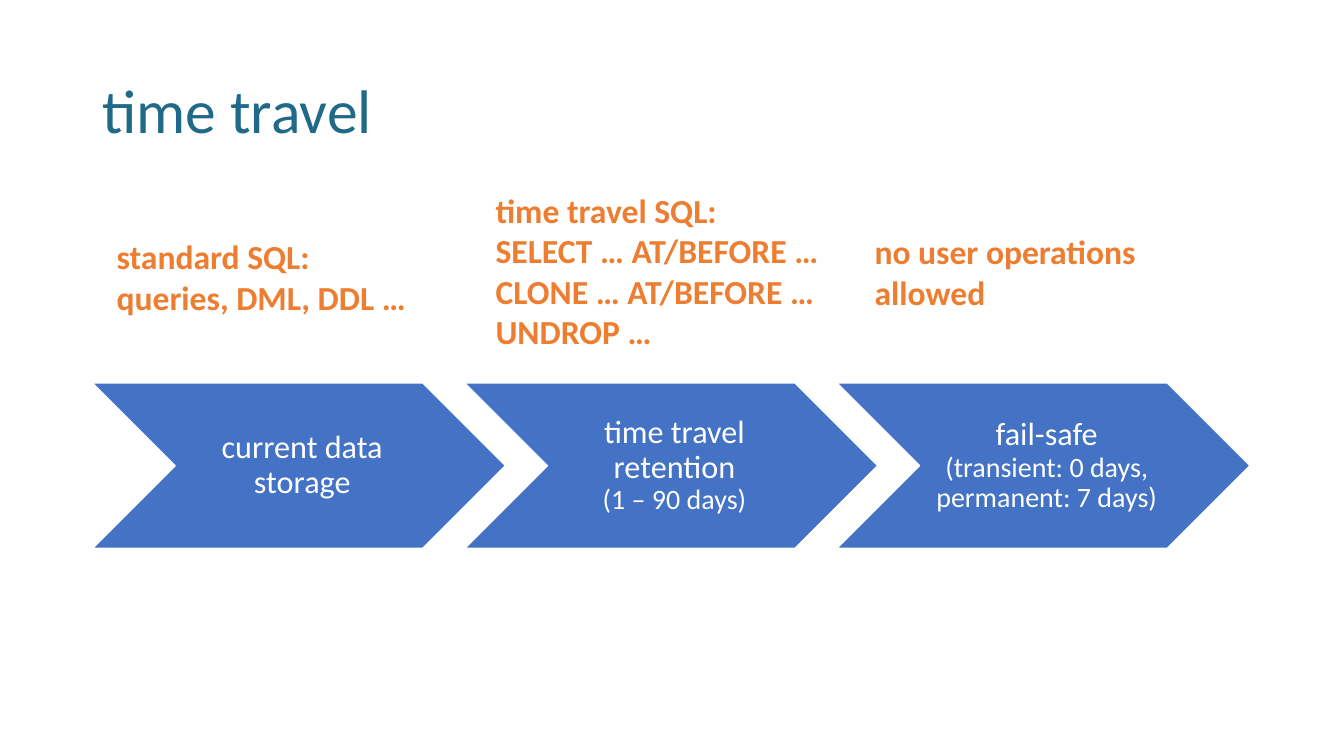
from dataclasses import dataclass

from pptx import Presentation
from pptx.dml.color import RGBColor
from pptx.enum.shapes import MSO_SHAPE as Preset
from pptx.enum.text import MSO_ANCHOR as Anchor, PP_ALIGN as Align
from pptx.shapes.autoshape import Shape
from pptx.slide import Slide
from pptx.text.text import _Paragraph as Paragraph
from pptx.util import Cm, Pt


@dataclass(frozen=True)
class Theme:
    font: str = "Calibri"
    title_color: RGBColor = RGBColor(0x21, 0x69, 0x89)
    stage_fill: RGBColor = RGBColor(0x44, 0x72, 0xC4)
    operation_color: RGBColor = RGBColor(0xED, 0x7D, 0x31)
    white: RGBColor = RGBColor(0xFF, 0xFF, 0xFF)
    title_size: int = 44
    operation_size: int = 24
    stage_size: int = 23
    period_size: int = 20
    line_spacing: float = 0.9


@dataclass(frozen=True)
class Stage:
    name: str
    period: str
    operations: tuple[str, ...]
    operations_top: float
    operations_width: float
    operations_height: float


THEME = Theme()
MARGIN = 2.33
STAGE_TOP, STAGE_WIDTH, STAGE_HEIGHT, STAGE_PITCH = 9.65, 10.41, 4.17, 9.38
OPERATIONS_LEFT, OPERATIONS_PITCH = 2.69, 9.55
STAGES = (
    Stage("current data storage", "",
          ("standard SQL:", "queries, DML, DDL …"), 5.41, 8.76, 3.12),
    Stage("time travel retention", "(1 – 90 days)",
          ("time travel SQL:", "SELECT … AT/BEFORE …", "CLONE … AT/BEFORE …", "UNDROP …"),
          4.62, 8.76, 4.39),
    Stage("fail-safe", "(transient: 0 days, permanent: 7 days)",
          ("no user operations allowed",), 5.28, 9.75, 3.12),
)


def add_run(paragraph: Paragraph, text: str, size: int, color: RGBColor,
            bold: bool = False) -> None:
    """Append a run in the theme font."""
    run = paragraph.add_run()
    run.text = text
    run.font.name = THEME.font
    run.font.size = Pt(size)
    run.font.bold = bold
    run.font.color.rgb = color


def add_panel(slide: Slide, preset: Preset, left: float, top: float,
              width: float, height: float, fill: RGBColor) -> Shape:
    """Add a flat filled shape with wrapped, vertically centred text."""
    panel = slide.shapes.add_shape(preset, Cm(left), Cm(top), Cm(width), Cm(height))
    panel.shadow.inherit = False
    panel.fill.solid()
    panel.fill.fore_color.rgb = fill
    panel.line.fill.background()
    panel.text_frame.word_wrap = True
    panel.text_frame.vertical_anchor = Anchor.MIDDLE
    return panel


def add_title(slide: Slide, text: str) -> None:
    """Add the slide title."""
    title = slide.shapes.add_textbox(Cm(MARGIN), Cm(1.02), Cm(29.21), Cm(3.68))
    title.text_frame.word_wrap = True
    title.text_frame.vertical_anchor = Anchor.MIDDLE
    heading = title.text_frame.paragraphs[0]
    heading.line_spacing = THEME.line_spacing
    add_run(heading, text, THEME.title_size, THEME.title_color)


def add_stage(slide: Slide, stage: Stage, index: int) -> None:
    """Add the chevron that names a stage and its period."""
    chevron = add_panel(slide, Preset.CHEVRON, MARGIN + index * STAGE_PITCH, STAGE_TOP,
                        STAGE_WIDTH, STAGE_HEIGHT, THEME.stage_fill)
    chevron.line.color.rgb = THEME.white
    chevron.line.width = Pt(1)
    frame = chevron.text_frame
    frame.margin_left = Cm(0.25)
    frame.margin_top = frame.margin_right = frame.margin_bottom = Cm(0.08)
    label = frame.paragraphs[0]
    label.alignment = Align.CENTER
    label.line_spacing = THEME.line_spacing
    add_run(label, stage.name, THEME.stage_size, THEME.white)
    if stage.period:
        label.add_line_break()
        add_run(label, stage.period, THEME.period_size, THEME.white)


def add_operations(slide: Slide, stage: Stage, index: int) -> None:
    """Add the list of operations allowed in a stage."""
    panel = add_panel(slide, Preset.RECTANGLE, OPERATIONS_LEFT + index * OPERATIONS_PITCH,
                      stage.operations_top, stage.operations_width,
                      stage.operations_height, THEME.white)
    frame = panel.text_frame
    for position, operation in enumerate(stage.operations):
        line = frame.add_paragraph() if position else frame.paragraphs[0]
        line.alignment = Align.LEFT
        add_run(line, operation, THEME.operation_size, THEME.operation_color, bold=True)


def main() -> None:
    """Build and save the time travel slide."""
    deck = Presentation()
    deck.slide_width, deck.slide_height = Cm(33.87), Cm(19.05)
    slide = deck.slides.add_slide(deck.slide_layouts[6])
    add_title(slide, "time travel")
    for draw in (add_stage, add_operations):
        for index, stage in enumerate(STAGES):
            draw(slide, stage, index)
    deck.save("out.pptx")


if __name__ == "__main__":
    main()
